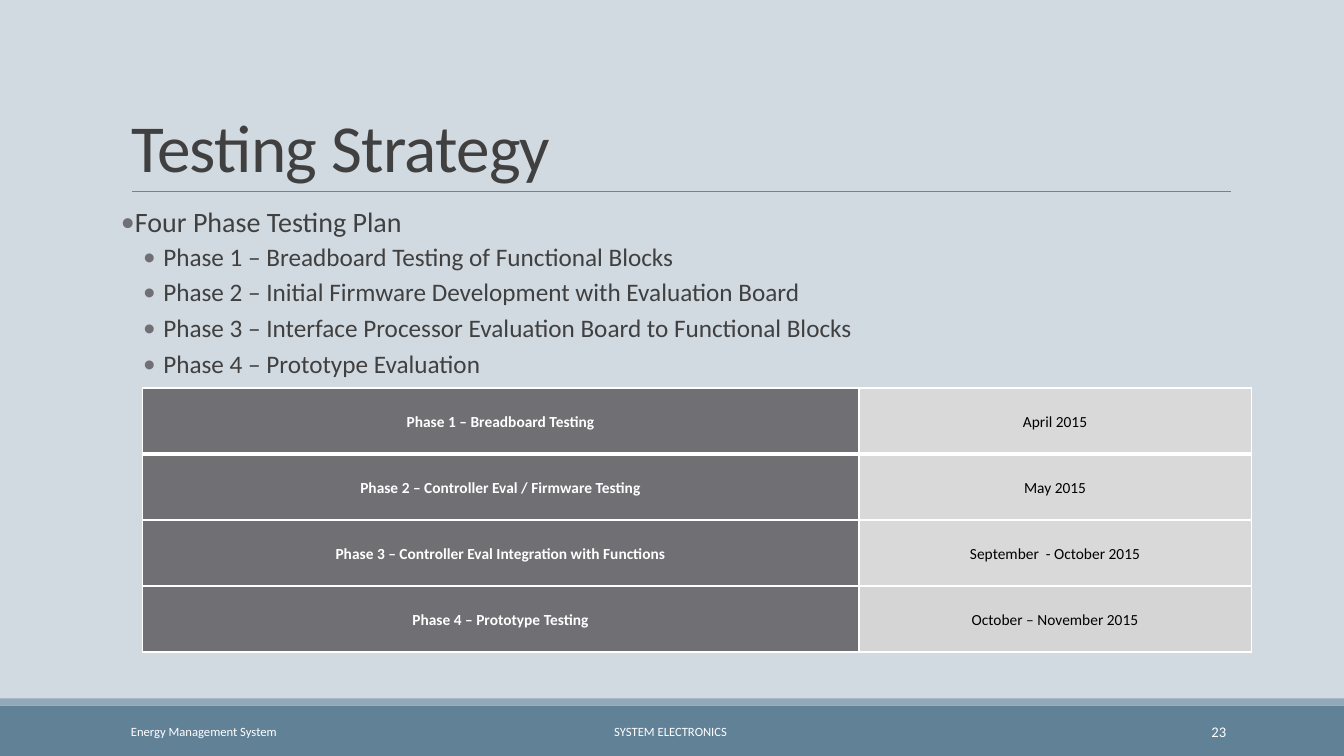
from dataclasses import dataclass

from lxml.etree import SubElement
from pptx import Presentation
from pptx.dml.color import RGBColor
from pptx.enum.shapes import MSO_CONNECTOR as Connector, MSO_SHAPE as Preset
from pptx.enum.text import MSO_ANCHOR as Anchor, MSO_AUTO_SIZE as AutoSize, PP_ALIGN as Align
from pptx.oxml.ns import qn
from pptx.util import Inches, Pt


@dataclass(frozen=True)
class Theme:
    """Colours, font and type sizes of the slide."""
    font: str = "Calibri"
    background: str = "D1D9E1"
    band: str = "618197"
    band_edge: str = "92A9B9"
    rule: str = "808080"
    text: str = "404040"
    accent: str = "6F6F74"
    date_fill: str = "D9D9D9"
    last_date_fill: str = "D5D5D6"
    white: str = "FFFFFF"
    black: str = "000000"
    title_size: float = 48
    lead_size: float = 20
    item_size: float = 18
    table_size: float = 11
    footer_size: float = 9
    number_size: float = 10.5


THEME = Theme()
LEAD = "Four Phase Testing Plan"
PHASES = [
    "Phase 1 – Breadboard Testing of Functional Blocks",
    "Phase 2 – Initial Firmware Development with Evaluation Board",
    "Phase 3 – Interface Processor Evaluation Board to Functional Blocks",
    "Phase 4 – Prototype Evaluation",
]
SCHEDULE = [
    ("Phase 1 – Breadboard Testing", "April 2015"),
    ("Phase 2 – Controller Eval / Firmware Testing", "May 2015"),
    ("Phase 3 – Controller Eval Integration with Functions", "September  - October 2015"),
    ("Phase 4 – Prototype Testing", "October – November 2015"),
]


def colour(value):
    """Turn a hex string into a colour."""
    return RGBColor.from_string(value)


def write(para, text, *, size, color=THEME.text, bold=False, align=Align.LEFT,
          line=1.0, before=0, after=0, tracking=None):
    """Write formatted text into a paragraph."""
    para.alignment, para.line_spacing = align, line
    para.space_before, para.space_after = Pt(before), Pt(after)
    span = para.add_run()
    span.text = text
    span.font.name, span.font.size, span.font.bold = THEME.font, Pt(size), bold
    span.font.color.rgb = colour(color)
    if tracking is not None:
        span.font._element.set("spc", str(round(tracking * 100)))


def place(shape, box):
    """Move a shape to a box of left, top, width and height in inches."""
    shape.left, shape.top, shape.width, shape.height = map(Inches, box)


def set_bullet(para, margin, hang):
    """Give a paragraph a hanging bullet."""
    props = para._p.get_or_add_pPr()
    props.set("marL", str(Inches(margin)))
    props.set("indent", str(-Inches(hang)))
    fill = SubElement(props, qn("a:buClr"))
    SubElement(fill, qn("a:srgbClr"), val=THEME.accent)
    SubElement(props, qn("a:buFont"), typeface=THEME.font)
    SubElement(props, qn("a:buChar"), char="•")


def set_borders(cell, widths):
    """Draw white cell borders of the given widths in points."""
    props = cell._tc.get_or_add_tcPr()
    for index, (side, width) in enumerate(widths.items()):
        edge = SubElement(props, qn(f"a:ln{side}"), w=str(Pt(width)))
        fill = SubElement(edge, qn("a:solidFill"))
        SubElement(fill, qn("a:srgbClr"), val=THEME.white)
        props.insert(index, edge)


def add_band(page, box, fill):
    """Add a plain filled rectangle."""
    band = page.shapes.add_shape(Preset.RECTANGLE, *map(Inches, box))
    band.shadow.inherit = False
    band.fill.solid()
    band.fill.fore_color.rgb = colour(fill)
    band.line.fill.background()


def add_title(page, box):
    """Fill the title placeholder and rule a line under it."""
    left, top, width, height = box
    title = page.shapes.title
    place(title, box)
    frame = title.text_frame
    frame.vertical_anchor, frame.auto_size = Anchor.BOTTOM, AutoSize.NONE
    write(frame.paragraphs[0], "Testing Strategy", size=THEME.title_size,
          line=0.85, tracking=-0.5)
    start, level = left + 0.11, top + height
    rule = page.shapes.add_connector(Connector.STRAIGHT, Inches(start), Inches(level),
                                     Inches(start + 10.9), Inches(level))
    rule.line.color.rgb, rule.line.width = colour(THEME.rule), Pt(0.5)
    SubElement(rule._element.spPr, qn("a:effectLst"))


def add_plan(page, box):
    """Fill the body placeholder with the lead line and its phases."""
    body = page.placeholders[1]
    place(body, box)
    frame = body.text_frame
    frame.auto_size, frame.vertical_anchor = AutoSize.NONE, Anchor.TOP
    frame.margin_left = frame.margin_right = 0
    lead = frame.paragraphs[0]
    write(lead, LEAD, size=THEME.lead_size, line=0.9, before=12, after=2)
    set_bullet(lead, 0.1, 0.1)
    for phase in PHASES:
        para = frame.add_paragraph()
        para.level = 1
        write(para, phase, size=THEME.item_size, line=0.9, before=2, after=4)
        set_bullet(para, 0.42, 0.2)


def add_schedule(page, box):
    """Add the table of phases and dates."""
    left, top, width, height = box
    table = page.shapes.add_table(len(SCHEDULE), 2, *map(Inches, box)).table
    date_width = 3.89
    table.columns[0].width = Inches(width - date_width)
    table.columns[1].width = Inches(date_width)
    last = len(SCHEDULE) - 1
    for index, entry in enumerate(SCHEDULE):
        table.rows[index].height = Inches(height / len(SCHEDULE))
        date_fill = THEME.last_date_fill if index == last else THEME.date_fill
        looks = [(THEME.accent, THEME.white, True), (date_fill, THEME.black, False)]
        for column, (text, (fill, color, bold)) in enumerate(zip(entry, looks)):
            cell = table.cell(index, column)
            cell.fill.solid()
            cell.fill.fore_color.rgb = colour(fill)
            cell.vertical_anchor = Anchor.MIDDLE
            cell.margin_left = cell.margin_right = Inches(0.07)
            cell.margin_top = cell.margin_bottom = 0
            write(cell.text_frame.paragraphs[0], text, size=THEME.table_size,
                  color=color, bold=bold, align=Align.CENTER, line=1.15)
            set_borders(cell, {"L": 1, "R": 1, "T": 3 if index == 1 else 1,
                               "B": 3 if index == 0 else 1})


def add_footer(page, box):
    """Add the footer band with its three texts."""
    left, top, width, height = box
    edge = 0.07
    add_band(page, (left, top + edge, width, height - edge), THEME.band)
    add_band(page, (left, top, width, edge), THEME.band_edge)
    labels = [
        ("Energy Management System", 1.2, 2.7, Align.LEFT, THEME.footer_size),
        ("SYSTEM ELECTRONICS ", 4.03, 5.27, Align.CENTER, THEME.footer_size),
        ("23", 10.83, 1.43, Align.RIGHT, THEME.number_size),
    ]
    for text, offset, span_width, align, size in labels:
        label = page.shapes.add_textbox(Inches(left + offset), Inches(top + 0.13),
                                        Inches(span_width), Inches(0.4))
        frame = label.text_frame
        frame.word_wrap, frame.vertical_anchor = True, Anchor.MIDDLE
        write(frame.paragraphs[0], text, size=size, color=THEME.white, align=align)


def main():
    """Build and save the slide."""
    deck = Presentation()
    deck.slide_width, deck.slide_height = Inches(13.33), Inches(7.5)
    page = deck.slides.add_slide(deck.slide_layouts[1])
    page.background.fill.solid()
    page.background.fill.fore_color.rgb = colour(THEME.background)
    add_footer(page, (0, 6.93, 13.33, 0.57))
    add_title(page, (1.2, 0.31, 11, 1.59))
    add_plan(page, (1.2, 2.02, 11, 2))
    add_schedule(page, (1.41, 3.85, 11, 2.62))
    deck.save("out.pptx")


if __name__ == "__main__":
    main()
